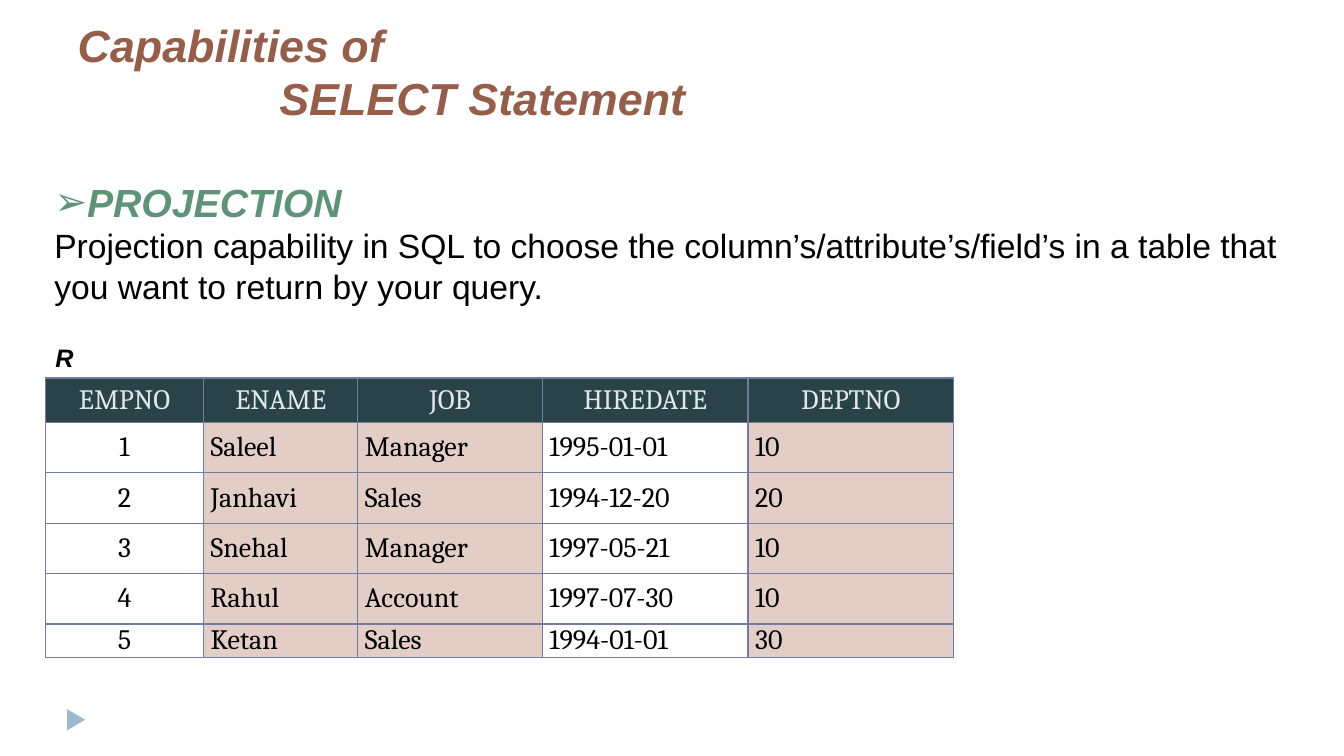
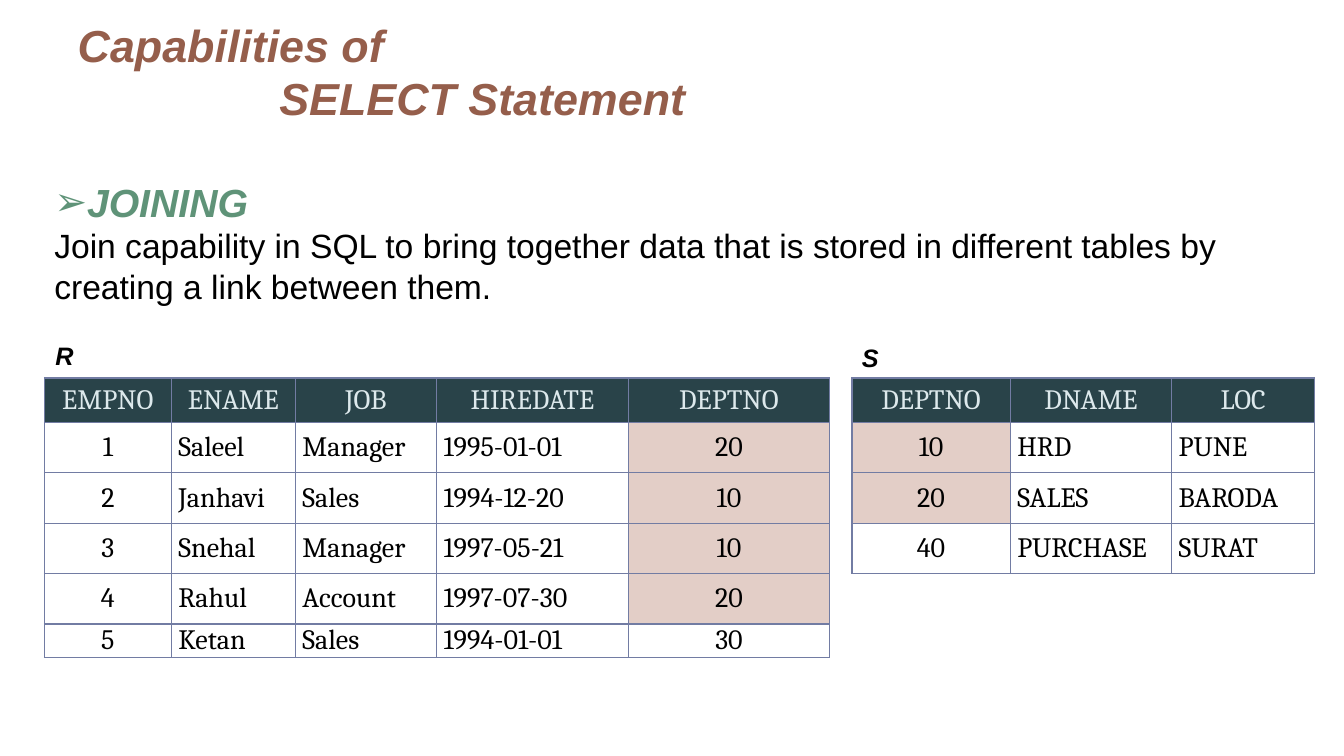
"""Build two slides on what the SQL SELECT statement can do."""
from itertools import product

from lxml import etree
from pptx import Presentation
from pptx.dml.color import RGBColor
from pptx.enum.shapes import MSO_SHAPE
from pptx.enum.text import MSO_ANCHOR, MSO_AUTO_SIZE, PP_ALIGN
from pptx.oxml.ns import qn
from pptx.util import Inches, Pt

TRIANGLE = MSO_SHAPE.ISOSCELES_TRIANGLE
MIDDLE, BOTTOM = MSO_ANCHOR.MIDDLE, MSO_ANCHOR.BOTTOM
GROW, FIXED = MSO_AUTO_SIZE.SHAPE_TO_FIT_TEXT, MSO_AUTO_SIZE.NONE
LEFT, CENTER = PP_ALIGN.LEFT, PP_ALIGN.CENTER

COLORS = {
    "title": "955E4B",
    "topic": "5F9378",
    "text": "000000",
    "head": "294349",
    "label": "DDE9EC",
    "tint": "E3CEC7",
    "border": "727CA3",
    "marker": "9FB8CD",
}
TABLE_TOP = 3.75
HEAD_ROW, ROW, LAST_ROW = 0.44, 0.5, 0.33
STAFF_ROWS = [HEAD_ROW] + [ROW] * 4 + [LAST_ROW]
STAFF_HEAD = ["EMPNO", "ENAME", "JOB", "HIREDATE", "DEPTNO"]
STAFF = [
    ["1", "Saleel", "Manager", "1995-01-01"],
    ["2", "Janhavi", "Sales", "1994-12-20"],
    ["3", "Snehal", "Manager", "1997-05-21"],
    ["4", "Rahul", "Account", "1997-07-30"],
    ["5", "Ketan", "Sales", "1994-01-01"],
]
DEPTS = [
    ["DEPTNO", "DNAME", "LOC"],
    ["10", "HRD", "PUNE"],
    ["20", "SALES", "BARODA"],
    ["40", "PURCHASE", "SURAT"],
]


def color(name):
    return RGBColor.from_string(COLORS[name])


def write(para, text, size=24, ink="text", font="Arial", strong=False, align=LEFT):
    para.alignment = align
    run = para.add_run()
    run.text = text
    run.font.size = Pt(size)
    run.font.name = font
    run.font.bold = run.font.italic = strong
    run.font.color.rgb = color(ink)


def indent(para, left, first=0):
    props = para._p.get_or_add_pPr()
    props.set("marL", str(Inches(left)))
    props.set("indent", str(Inches(first)))
    return props


def add_title(slide):
    title = slide.shapes.title
    title.left, title.top = Inches(0.67), Inches(0.29)
    title.width, title.height = Inches(12), Inches(1)
    frame = title.text_frame
    frame.auto_size = FIXED
    frame.vertical_anchor = BOTTOM
    style = {"size": 32, "ink": "title", "strong": True}
    write(frame.paragraphs[0], "Capabilities of", **style)
    second = frame.add_paragraph()
    write(second, "SELECT Statement", **style)
    indent(second, 2)


def add_box(slide, left, top, width, height):
    box = slide.shapes.add_textbox(
        Inches(left), Inches(top), Inches(width), Inches(height))
    frame = box.text_frame
    frame.word_wrap = True
    frame.auto_size = GROW
    return frame


def add_body(slide, topic, text, width):
    frame = add_box(slide, 0.44, 1.25, width, 1.85)
    head = frame.paragraphs[0]
    head.line_spacing = 2.0
    write(head, topic, size=28, ink="topic", strong=True)
    props = indent(head, 0.32, -0.32)
    etree.SubElement(props, qn("a:buFont"), typeface="Arial")
    etree.SubElement(props, qn("a:buChar"), char="➢")
    write(frame.add_paragraph(), text)


def add_label(slide, text, left, top):
    frame = add_box(slide, left, top, 0.43, 0.4)
    write(frame.paragraphs[0], text, size=18, strong=True)


def add_border(cell):
    props = cell._tc.get_or_add_tcPr()
    for side in ("lnL", "lnR", "lnT", "lnB"):
        line = etree.SubElement(props, qn(f"a:{side}"), w=str(Pt(1)))
        fill = etree.SubElement(line, qn("a:solidFill"))
        etree.SubElement(fill, qn("a:srgbClr"), val=COLORS["border"])


def fill_cell(cell, text, ink, fill, align):
    cell.vertical_anchor = MIDDLE
    cell.margin_left = cell.margin_right = Inches(0.07)
    cell.margin_top = cell.margin_bottom = 0
    add_border(cell)
    if fill:
        cell.fill.solid()
        cell.fill.fore_color.rgb = color(fill)
    else:
        cell.fill.background()
    write(cell.text_frame.paragraphs[0], text, size=20, ink=ink,
          font="Cambria", align=align)


def add_table(slide, left, widths, heights, rows, tinted, centered):
    table = slide.shapes.add_table(
        len(rows), len(widths), Inches(left), Inches(TABLE_TOP),
        Inches(sum(widths)), Inches(sum(heights))).table
    table.first_row = table.horz_banding = False
    for col, width in zip(table.columns, widths):
        col.width = Inches(width)
    for row, height in zip(table.rows, heights):
        row.height = Inches(height)
    tinted = set(tinted)
    for r, row in enumerate(rows):
        for c, text in enumerate(row):
            head = r == 0
            fill = "head" if head else "tint" if (r, c) in tinted else None
            align = CENTER if head or c in centered else LEFT
            fill_cell(table.cell(r, c), text, "label" if head else "text",
                      fill, align)


def add_staff(slide, left, widths, depts, tinted, centered):
    rows = [STAFF_HEAD] + [row + [dept] for row, dept in zip(STAFF, depts)]
    add_table(slide, left, widths, STAFF_ROWS, rows, tinted, centered)


def add_marker(slide):
    mark = slide.shapes.add_shape(
        TRIANGLE, Inches(0.65), Inches(7.05), Inches(0.21), Inches(0.18))
    mark.rotation = 90
    mark.shadow.inherit = False
    mark.fill.solid()
    mark.fill.fore_color.rgb = color("marker")
    mark.line.fill.background()


def add_slide(deck, topic, text, width):
    slide = deck.slides.add_slide(deck.slide_layouts[5])
    add_title(slide)
    add_body(slide, topic, text, width)
    return slide


def main():
    deck = Presentation()
    deck.slide_width, deck.slide_height = Inches(13.33), Inches(7.5)

    slide = add_slide(
        deck, "PROJECTION",
        "Projection capability in SQL to choose the column’s/attribute’s/field’s "
        "in a table that you want to return by your query.", 12.52)
    add_marker(slide)
    add_staff(slide, 0.45, [1.57, 1.53, 1.83, 2.04, 2.04],
              ["10", "20", "10", "10", "30"],
              product(range(1, 6), (1, 2, 4)), (0,))
    add_label(slide, "R", 0.45, 3.35)

    slide = add_slide(
        deck, "JOINING",
        "Join capability in SQL to bring together data that is stored in "
        "different tables by creating a link between them.", 12.6)
    add_staff(slide, 0.44, [1.26, 1.23, 1.4, 1.9, 2],
              ["20", "10", "10", "20", "30"],
              product(range(1, 5), (4,)), (0, 4))
    add_table(slide, 8.45, [1.57, 1.6, 1.42], [HEAD_ROW] + [ROW] * 3, DEPTS,
              product((1, 2), (0,)), (0,))
    add_label(slide, "R", 0.45, 3.33)
    add_label(slide, "S", 8.45, 3.35)

    deck.save("out.pptx")


if __name__ == "__main__":
    main()
